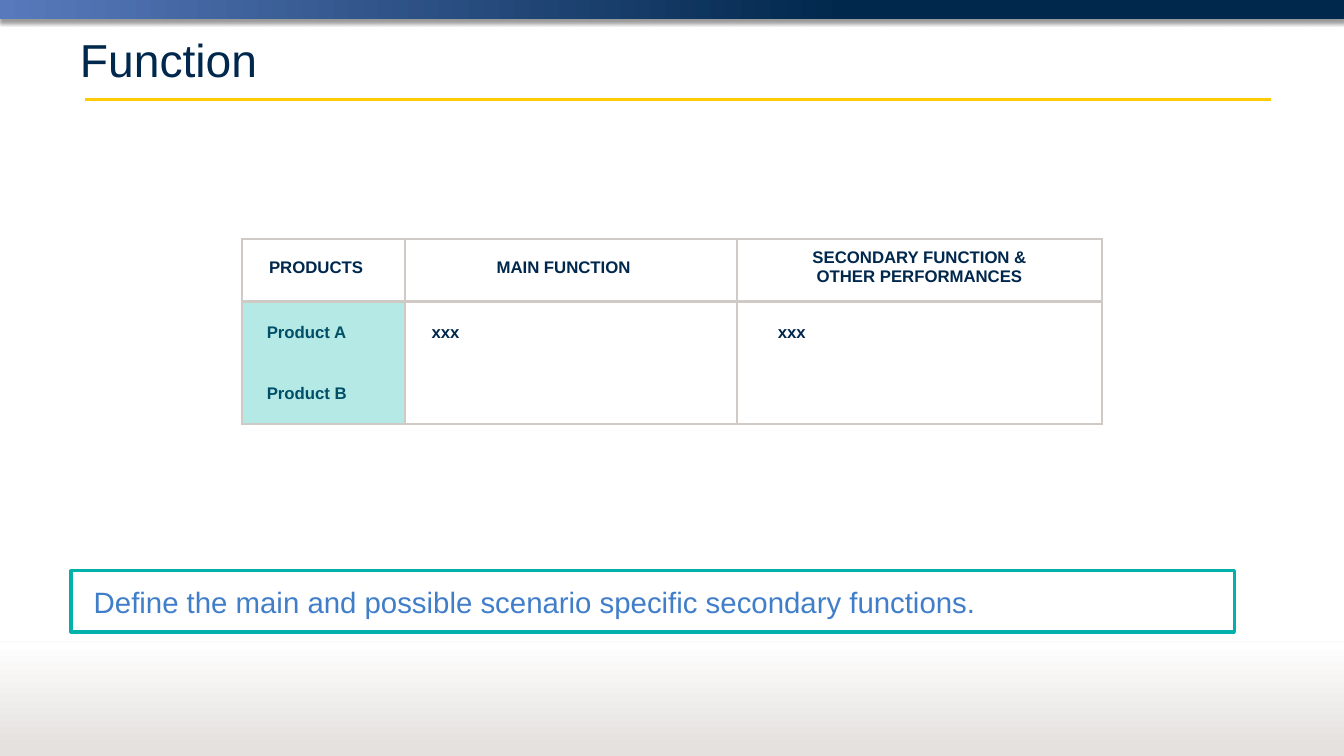
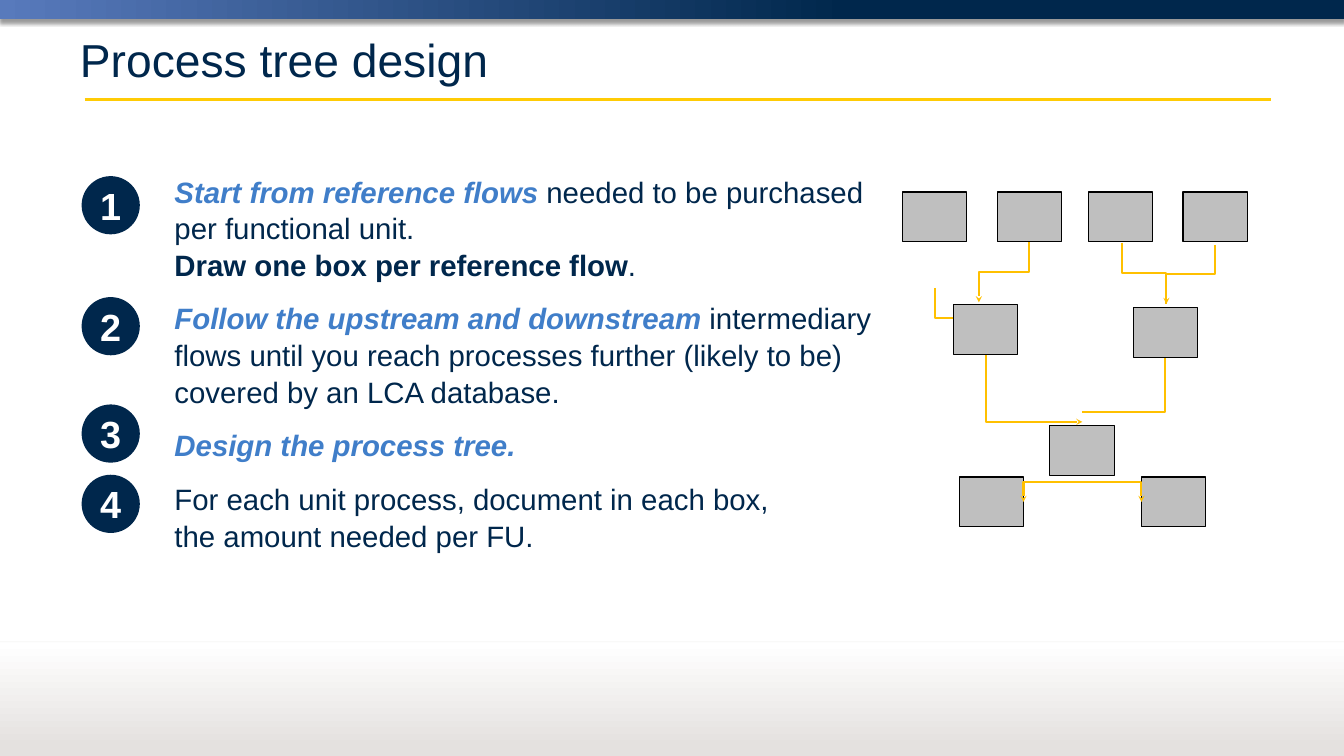
from lxml import etree
from pptx import Presentation
from pptx.dml.color import RGBColor
from pptx.enum.shapes import MSO_CONNECTOR, MSO_SHAPE
from pptx.enum.text import MSO_ANCHOR, PP_ALIGN
from pptx.oxml.ns import qn
from pptx.util import Inches, Pt

RECTANGLE, OVAL = MSO_SHAPE.RECTANGLE, MSO_SHAPE.OVAL
STRAIGHT, ELBOW = MSO_CONNECTOR.STRAIGHT, MSO_CONNECTOR.ELBOW
TOP, MIDDLE = MSO_ANCHOR.TOP, MSO_ANCHOR.MIDDLE
LEFT, CENTER = PP_ALIGN.LEFT, PP_ALIGN.CENTER

NAVY = RGBColor(0x00, 0x27, 0x4C)
PERIWINKLE = RGBColor(0x58, 0x7A, 0xBC)
BLUE = RGBColor(0x40, 0x7E, 0xC9)
YELLOW = RGBColor(0xFF, 0xCB, 0x05)
AMBER = RGBColor(0xFF, 0xC0, 0x00)
STONE = RGBColor(0xE4, 0xE1, 0xDF)
BORDER = RGBColor(0xCF, 0xCA, 0xC6)
GRAY = RGBColor(0xBF, 0xBF, 0xBF)
TEAL = RGBColor(0x00, 0xB2, 0xA9)
MINT = RGBColor(0xB5, 0xE9, 0xE6)
DEEP_TEAL = RGBColor(0x00, 0x4F, 0x67)
WHITE = RGBColor(0xFF, 0xFF, 0xFF)
BLACK = RGBColor(0x00, 0x00, 0x00)

FONT = "Arial"
COLUMNS, ROWS = 177.8, 100  # grid of 0.1 inch squares


def grid(*counts):
    """Turn grid columns or rows into lengths."""
    return [Inches(count / 10) for count in counts]


def add_xml(parent, tag, **attributes):
    return etree.SubElement(parent, qn(tag), attributes)


def outline_of(connector):
    return connector._element.spPr.find(qn("a:ln"))


class SlideBuilder:
    """Holds the shared style and the slide being built."""

    def __init__(self, deck):
        self.deck = deck
        self.page = None

    def start(self, title):
        self.page = self.deck.slides.add_slide(self.deck.slide_layouts[6])
        # Top band and title rule
        band = self.shape(RECTANGLE, 0, 0, COLUMNS, 2.5)
        self.gradient(band, (0, PERIWINKLE), (0.63, NAVY), 0)
        self.shadow(band, 40, 4, 3)
        self.line(11.2, 13.2, 168.1, 13.2, YELLOW, 3)
        # Footer fade
        footer = self.shape(RECTANGLE, 0, 85, COLUMNS, 15)
        self.gradient(footer, (0.08, STONE), (1, WHITE), 90)
        edge = self.line(0, 84.9, COLUMNS, 84.9, STONE, 0.75)
        add_xml(outline_of(edge).find(qn("a:solidFill"))[0], "a:alpha", val="30000")
        self.shadow(edge, 38, 3.1, 1.6)
        self.text(9.6, 3, 160, 9.5, [[(title, NAVY, "")]], 44, MIDDLE)

    def shape(self, kind, left, top, width, height, fill=None, outline=None, weight=1):
        shape = self.page.shapes.add_shape(kind, *grid(left, top, width, height))
        shape.shadow.inherit = False
        if fill is None:
            shape.fill.background()
        else:
            shape.fill.solid()
            shape.fill.fore_color.rgb = fill
        if outline is None:
            shape.line.fill.background()
        else:
            shape.line.color.rgb = outline
            shape.line.width = Pt(weight)
        return shape

    def gradient(self, shape, first, last, angle):
        shape.fill.gradient()
        shape.fill.gradient_angle = angle
        for stop, (position, color) in zip(shape.fill.gradient_stops, (first, last)):
            stop.position = position
            stop.color.rgb = color

    def shadow(self, item, alpha, blur, distance):
        effects = item._element.spPr.find(qn("a:effectLst"))
        shade = add_xml(effects, "a:outerShdw", blurRad=str(Pt(blur)),
                        dist=str(Pt(distance)), dir="5400000", rotWithShape="0")
        color = add_xml(shade, "a:srgbClr", val=str(BLACK))
        add_xml(color, "a:alpha", val=str(alpha * 1000))

    def line(self, x1, y1, x2, y2, color, weight, kind=STRAIGHT):
        connector = self.page.shapes.add_connector(kind, *grid(x1, y1, x2, y2))
        connector.line.color.rgb = color
        connector.line.width = Pt(weight)
        add_xml(connector._element.spPr, "a:effectLst")
        return connector

    def flow(self, route, x1, y1, x2, y2, arrow):
        """Bent line: 'step' goes down-across-down, 'drop' down-across, 'reach' across-down."""
        if route == "step":
            # Swap the frame's sides around its centre, then turn it upright
            middle_x, middle_y = (x1 + x2) / 2, (y1 + y2) / 2
            half_width, half_height = (y2 - y1) / 2, abs(x2 - x1) / 2
            side = 1 if x2 < x1 else -1
            connector = self.line(middle_x - side * half_width, middle_y - half_height,
                                  middle_x + side * half_width, middle_y + half_height,
                                  AMBER, 2, ELBOW)
            turn = 90 if side == 1 else 270
            connector._element.spPr.find(qn("a:xfrm")).set("rot", str(turn * 60000))
        else:
            connector = self.line(x1, y1, x2, y2, AMBER, 2, ELBOW)
        geometry = connector._element.spPr.find(qn("a:prstGeom"))
        if route == "reach":
            geometry.set("prst", "bentConnector2")
        if route == "drop":
            guides = geometry.find(qn("a:avLst"))
            if guides is None:
                guides = add_xml(geometry, "a:avLst")
            add_xml(guides, "a:gd", name="adj1", fmla="val 0")
        if arrow:
            add_xml(outline_of(connector), "a:tailEnd", type="stealth")

    def fill_text(self, frame, paragraphs, size, align=LEFT, before=0, spacing=None):
        """Each paragraph is a list of (text, colour, marks), marks being b and i."""
        for index, spans in enumerate(paragraphs):
            para = frame.add_paragraph() if index else frame.paragraphs[0]
            para.alignment = align
            if index and before:
                para.space_before = Pt(before)
            if spacing:
                para.line_spacing = spacing
            for text, color, marks in spans:
                for number, piece in enumerate(text.split("\n")):
                    if number:
                        para.add_line_break()
                    if not piece:
                        continue
                    span = para.add_run()
                    span.text = piece
                    span.font.name, span.font.size = FONT, Pt(size)
                    span.font.color.rgb = color
                    span.font.bold, span.font.italic = "b" in marks, "i" in marks

    def text(self, left, top, width, height, paragraphs, size, anchor=TOP, **layout):
        box = self.page.shapes.add_textbox(*grid(left, top, width, height))
        box.text_frame.word_wrap = True
        box.text_frame.vertical_anchor = anchor
        self.fill_text(box.text_frame, paragraphs, size, **layout)

    def badge(self, label, left, top, size):
        circle = self.shape(OVAL, left, top, size, size, NAVY)
        circle.text_frame.vertical_anchor = MIDDLE
        self.fill_text(circle.text_frame, [[(label, WHITE, "b")]], 36, CENTER)

    def callout(self, left, top, width, height, text):
        frame = self.shape(RECTANGLE, left, top, width, height, None, TEAL, 3).text_frame
        frame.word_wrap = True
        frame.vertical_anchor = MIDDLE
        frame.margin_left, = grid(3)
        self.fill_text(frame, [[(text, BLUE, "")]], 28)

    def borders(self, cell, **weights):
        """Weights in points by side; zero leaves the side open."""
        properties = cell._tc.get_or_add_tcPr()
        for side in "LRTB":
            weight = weights.get(side, 2)
            edge = add_xml(properties, "a:ln" + side, w=str(Pt(weight)))
            if weight:
                add_xml(add_xml(edge, "a:solidFill"), "a:srgbClr", val=str(BORDER))
            else:
                add_xml(edge, "a:noFill")

    def table(self, left, top, widths, heights, cells, indents):
        frame = self.page.shapes.add_table(
            len(heights), len(widths), *grid(left, top, sum(widths), sum(heights)))
        table = frame.table
        table.first_row = table.horz_banding = False
        for column, width in zip(table.columns, grid(*widths)):
            column.width = width
        for row, height in zip(table.rows, grid(*heights)):
            row.height = height
        last = len(heights) - 1
        for r, texts in enumerate(cells):
            for c, text in enumerate(texts):
                cell = table.cell(r, c)
                self.borders(cell, T=(2, 3, 0)[min(r, 2)],
                             B=3 if r == 0 else 2 if r == last else 0)
                product = r > 0 and c == 0
                if product:
                    cell.fill.solid()
                    cell.fill.fore_color.rgb = MINT
                else:
                    cell.fill.background()
                cell.vertical_anchor = MIDDLE
                indent = indents[min(r, 1)][c]
                cell.margin_left, cell.margin_bottom = grid(indent or 1, 0.5 if r else 1.3)
                self.fill_text(cell.text_frame,
                               [[(text, DEEP_TEAL if product else NAVY, "b")]],
                               16, LEFT if indent else CENTER)


def build_function(slide):
    slide.start("Function")
    slide.table(
        32, 31.6, (21.6, 43.9, 48.3), (8.3, 8.1, 8.1),
        [("PRODUCTS", "MAIN FUNCTION", "SECONDARY FUNCTION &\nOTHER PERFORMANCES"),
         ("Product A", "xxx", "xxx"),
         ("Product B", "", "")],
        [(3.6, 12.1, None), (3.3, 3.5, 5.4)])
    slide.callout(9.4, 75.5, 153.9, 8.1,
                  "Define the main and possible scenario specific secondary functions.")


def build_process_tree(slide):
    slide.start("Process tree design")

    # Process tree: lower boxes, flows, then upper boxes
    def process_boxes(*corners):
        for left, top in corners:
            slide.shape(RECTANGLE, left, top, 8.5, 6.6, GRAY, BLACK, 1)

    process_boxes((138.9, 56.3), (126.9, 63.1), (151, 63.1))
    for flow in (
        ("drop", 130.4, 45.9, 143.2, 55.8, True),
        ("drop", 154.1, 47.1, 143.2, 54.5, False),
        ("step", 123.7, 38.1, 129.5, 46.1, False),
        ("step", 136.1, 32, 129.5, 40, True),
        ("step", 148.4, 32.1, 154.2, 40.2, False),
        ("step", 160.7, 32.4, 154.3, 40.2, True),
        ("reach", 143.2, 63.8, 135.4, 66.4, True),
        ("reach", 143.2, 63.8, 151, 66.4, True),
    ):
        slide.flow(*flow)
    process_boxes((126.1, 40.3), (149.9, 40.7))
    process_boxes(*((left, 25.4) for left in (119.4, 131.9, 144, 156.5)))

    # Numbered steps
    for number, top in enumerate((23.3, 39.3, 53.5, 62.8), 1):
        slide.badge(str(number), 10.8, top, 7.7)
    slide.text(22.1, 22.3, 98.5, 50.2, [
        [("Start from reference flows ", BLUE, "bi"),
         ("needed to be purchased\nper functional unit.\n", NAVY, ""),
         ("Draw one box per reference flow", NAVY, "b"), (".", NAVY, "")],
        [("Follow the upstream and downstream ", BLUE, "bi"),
         ("intermediary flows until you reach processes further (likely to be) "
          "covered by an LCA database.", NAVY, "")],
        [("Design the process tree.", BLUE, "bi")],
        [("For each unit process, document in each box,\nthe amount needed per FU.",
          NAVY, "")],
    ], 28, before=16, spacing=1.04)


def main():
    deck = Presentation()
    deck.slide_width, deck.slide_height = grid(COLUMNS, ROWS)
    slide = SlideBuilder(deck)
    build_function(slide)
    build_process_tree(slide)
    deck.save("out.pptx")


if __name__ == "__main__":
    main()
